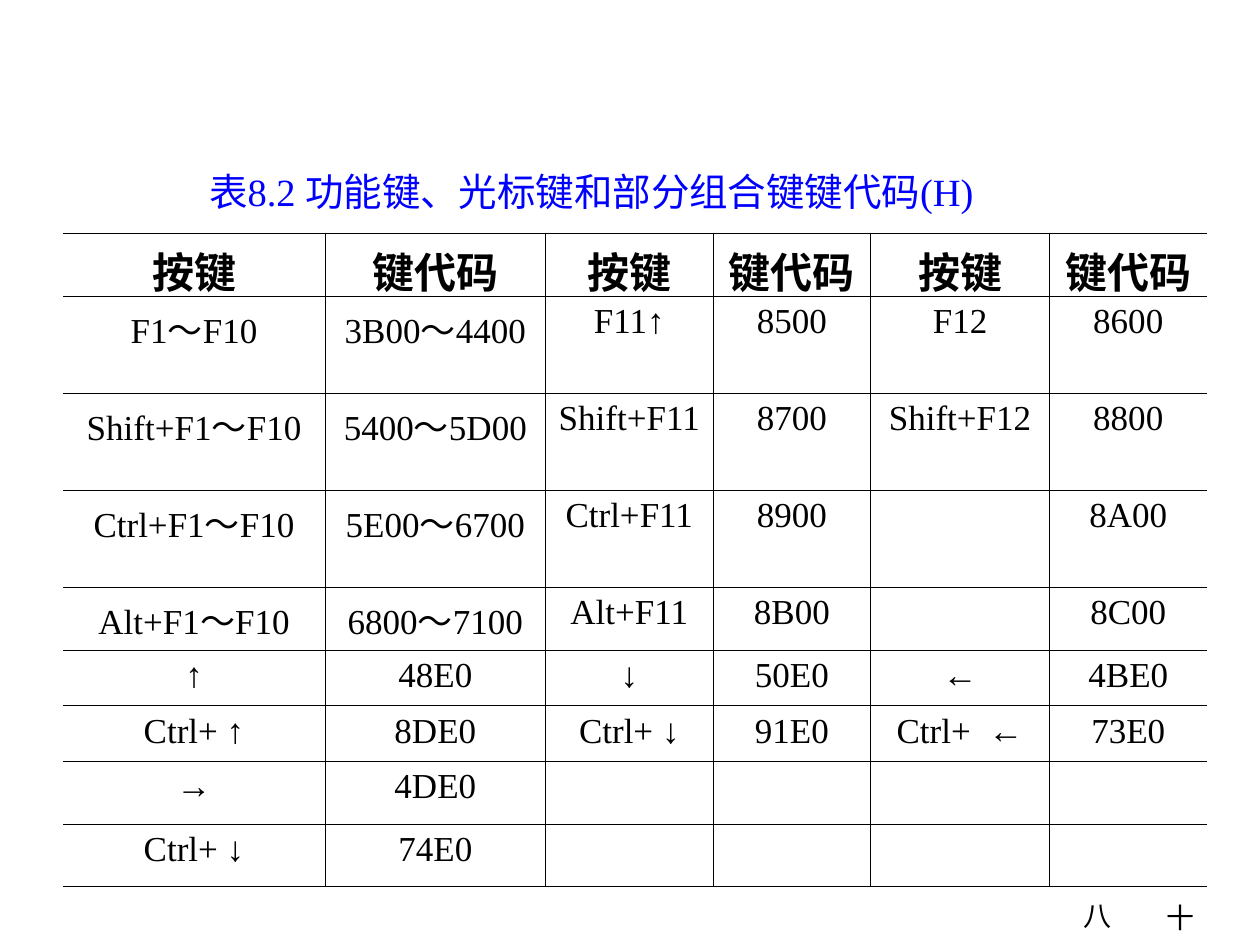
from dataclasses import dataclass
from typing import NamedTuple

from lxml import etree
from pptx import Presentation
from pptx import util as u
from pptx.dml.color import RGBColor
from pptx.enum import text
from pptx.oxml.ns import qn


@dataclass(frozen=True)
class Theme:
    font: str = "Times New Roman"
    ink: str = "000000"
    caption_ink: str = "0000FF"
    paper: str = "FFFFFF"
    header_size: int = 24
    body_size: int = 20
    caption_size: int = 22
    footer_size: int = 16
    inner_line: float = 0.45
    outer_line: float = 0.75


class Area(NamedTuple):
    column: float
    row: float
    columns: float
    rows: float


class Label(NamedTuple):
    words: str
    area: Area


THEME = Theme()
UNIT = u.Inches(0.1)
GRID_COLUMNS, GRID_ROWS = 100, 75
CAPTION = Label("表8.2 功能键、光标键和部分组合键键代码(H)", Area(15.6, 12.8, 66.5, 4.7))
FOOTERS = (
    Label("八", Area(85, 70.8, 4.2, 3.7)),
    Label("十", Area(91.6, 71, 4.7, 3.7)),
)
COLUMN_WIDTHS = (20.8, 17.5, 13.3, 12.5, 14.2, 12.5)
ROW_HEIGHTS = (5, 7.7, 7.7, 7.7, 5, 4.4, 4.4, 5, 5)
TABLE_AREA = Area(5, 18.5, sum(COLUMN_WIDTHS), sum(ROW_HEIGHTS))
KEY_CODES = (
    ("按键", "键代码") * 3,
    ("F1～F10", "3B00～4400", "F11↑", "8500", "F12", "8600"),
    ("Shift+F1～F10", "5400～5D00", "Shift+F11", "8700", "Shift+F12", "8800"),
    ("Ctrl+F1～F10", "5E00～6700", "Ctrl+F11", "8900", "", "8A00"),
    ("Alt+F1～F10", "6800～7100", "Alt+F11", "8B00", "", "8C00"),
    ("↑", "48E0", "↓", "50E0", "←", "4BE0"),
    ("Ctrl+ ↑", "8DE0", "Ctrl+ ↓", "91E0", "Ctrl+  ←", "73E0"),
    ("→", "4DE0", "", "", "", ""),
    ("Ctrl+ ↓", "74E0", "", "", "", ""),
)


def place(area: Area) -> list[int]:
    """Turn grid units into slide lengths."""
    return [u.Emu(round(value * UNIT)) for value in area]


def format_para(para, size: int, color: str, bold: bool = False) -> None:
    """Give every run of a paragraph its type style."""
    for span in para.runs:
        span.font.name = THEME.font
        span.font.size = u.Pt(size)
        span.font.bold = bold
        span.font.color.rgb = RGBColor.from_string(color)


def fill_label(box, label: Label, size: int, color: str) -> None:
    """Place a one-line label and write its words."""
    box.left, box.top, box.width, box.height = place(label.area)
    frame = box.text_frame
    frame.text = label.words
    frame.word_wrap = False
    frame.auto_size = text.MSO_AUTO_SIZE.SHAPE_TO_FIT_TEXT
    frame.vertical_anchor = text.MSO_ANCHOR.TOP
    frame.paragraphs[0].alignment = text.PP_ALIGN.LEFT
    format_para(frame.paragraphs[0], size, color)


def set_borders(cell, widths: dict[str, float]) -> None:
    """Rule the four sides of a cell, leaving zero widths blank."""
    properties = cell._tc.get_or_add_tcPr()
    for index, (side, width) in enumerate(widths.items()):
        line = etree.Element(qn(f"a:ln{side}"), w=str(u.Pt(width)))
        if width:
            fill = etree.SubElement(line, qn("a:solidFill"))
            etree.SubElement(fill, qn("a:srgbClr"), val=THEME.ink)
        else:
            etree.SubElement(line, qn("a:noFill"))
        properties.insert(index, line)


def fill_cell(cell, words: str, header: bool) -> None:
    """Write one centred key or code on a plain background."""
    cell.fill.solid()
    cell.fill.fore_color.rgb = RGBColor.from_string(THEME.paper)
    if words:
        cell.text_frame.text = words
        para = cell.text_frame.paragraphs[0]
        para.alignment = text.PP_ALIGN.CENTER
        para.space_before = u.Pt(6 if header else 5)
        size = THEME.header_size if header else THEME.body_size
        format_para(para, size, THEME.ink, header)


def add_key_table(page) -> None:
    """Build the key code table with open left and right sides."""
    last_row, last_column = len(ROW_HEIGHTS) - 1, len(COLUMN_WIDTHS) - 1
    table = page.shapes.add_table(
        last_row + 1, last_column + 1, *place(TABLE_AREA)
    ).table
    table.first_row = table.horz_banding = False
    for column, width in zip(table.columns, COLUMN_WIDTHS):
        column.width = u.Emu(round(width * UNIT))
    for row, height in zip(table.rows, ROW_HEIGHTS):
        row.height = u.Emu(round(height * UNIT))
    for r, codes in enumerate(KEY_CODES):
        for c, words in enumerate(codes):
            cell = table.cell(r, c)
            fill_cell(cell, words, r == 0)
            set_borders(cell, {
                "L": THEME.inner_line if c > 0 else 0,
                "R": THEME.inner_line if c < last_column else 0,
                "T": THEME.inner_line if r > 0 else THEME.outer_line,
                "B": THEME.inner_line if r < last_row else THEME.outer_line,
            })


def main() -> None:
    """Build the key code slide."""
    deck = Presentation()
    deck.slide_width = GRID_COLUMNS * UNIT
    deck.slide_height = GRID_ROWS * UNIT
    page = deck.slides.add_slide(deck.slide_layouts.get_by_name("Title Only"))
    add_key_table(page)
    title = page.shapes.title
    fill_label(title, CAPTION, THEME.caption_size, THEME.caption_ink)
    title.fill.solid()
    title.fill.fore_color.rgb = RGBColor.from_string(THEME.paper)
    for label in FOOTERS:
        box = page.shapes.add_textbox(*place(label.area))
        fill_label(box, label, THEME.footer_size, THEME.ink)
    deck.save("out.pptx")


if __name__ == "__main__":
    main()
